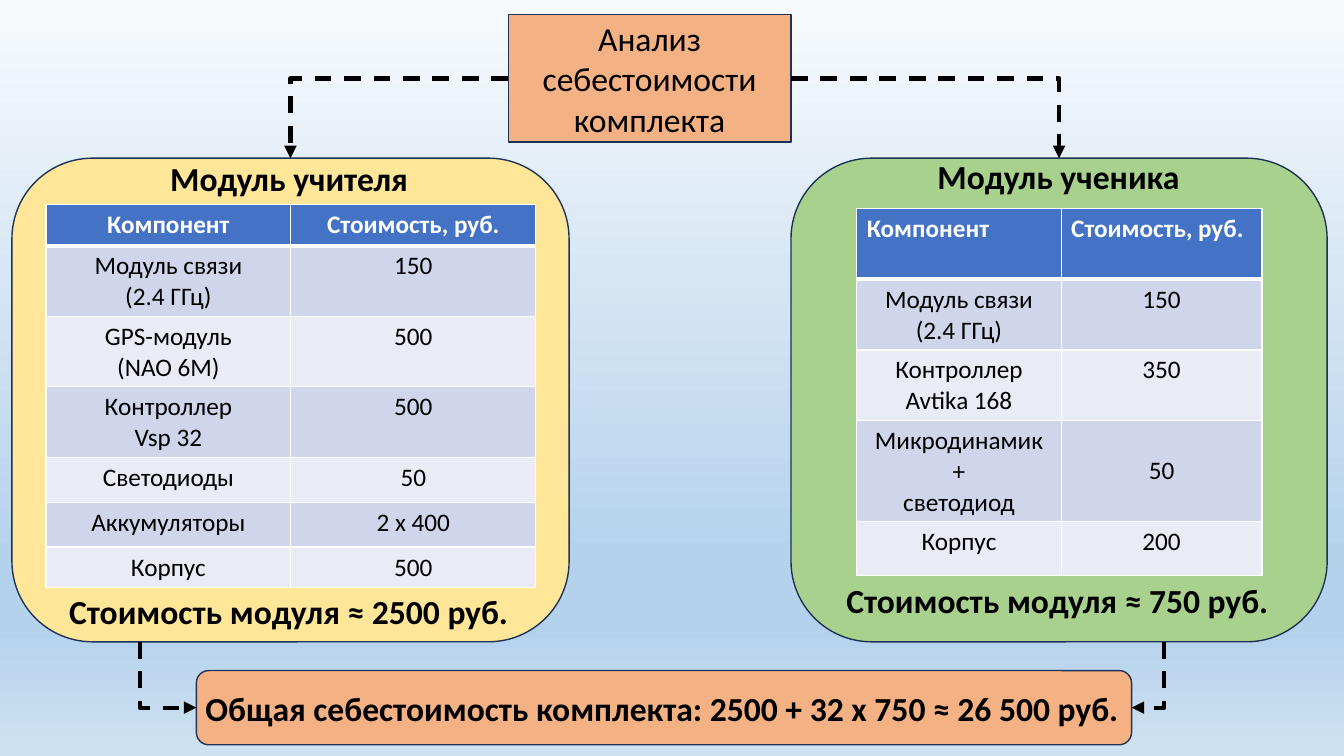
"""Build the slide that breaks down the cost of the teaching kit."""
from dataclasses import dataclass

from lxml.etree import SubElement
from pptx import Presentation
from pptx.dml.color import RGBColor
from pptx.enum.dml import MSO_LINE
from pptx.enum.shapes import MSO_CONNECTOR, MSO_SHAPE
from pptx.enum.text import MSO_ANCHOR, MSO_AUTO_SIZE, PP_ALIGN
from pptx.oxml import parse_xml
from pptx.oxml.ns import nsdecls, qn
from pptx.util import Pt


@dataclass(frozen=True)
class Theme:
    """Colours, font and type sizes of the slide."""
    font: str = "Calibri"
    heading_size: int = 24
    table_size: int = 18
    text: str = "000000"
    white: str = "FFFFFF"
    outline: str = "1E3256"
    orange: str = "F4B183"
    yellow: str = "FFE699"
    green: str = "A9D18E"
    header: str = "4472C4"
    bands: tuple = ("CFD5EA", "E9EBF5")
    background: tuple = ((0, "F7FAFD"), (74, "B5D2EC"), (83, "B5D2EC"), (100, "CEE1F2"))


THEME = Theme()

TEACHER_ROWS = [
    ("Компонент", "Стоимость, руб."),
    ("Модуль связи\n(2.4 ГГц)", "150"),
    ("GPS-модуль\n(NAO 6M)", "500"),
    ("Контроллер\nVsp 32", "500"),
    ("Светодиоды", "50"),
    ("Аккумуляторы", "2 x 400"),
    ("Корпус", "500"),
]
STUDENT_ROWS = [
    ("Компонент", "Стоимость, руб."),
    ("Модуль связи (2.4 ГГц)", "150"),
    ("Контроллер\nAvtika 168", "350"),
    ("Микродинамик +\nсветодиод", "50"),
    ("Корпус", "200"),
]


def paint_background(slide):
    """Fill the background with the vertical blue gradient."""
    fill = slide.background.fill
    fill.gradient()
    fill.gradient_angle = 270
    stops = slide.element.find(".//" + qn("a:gsLst"))
    for stop in list(stops):
        stops.remove(stop)
    for percent, color in THEME.background:
        stop = SubElement(stops, qn("a:gs"), pos=str(percent * 1000))
        SubElement(stop, qn("a:srgbClr"), val=color)


def format_text(text_frame, size, color, bold, alignment):
    """Format every paragraph and run of a text frame."""
    for paragraph in text_frame.paragraphs:
        paragraph.alignment = alignment
        for run in paragraph.runs:
            run.font.name = THEME.font
            run.font.size = Pt(size)
            run.font.bold = bold
            run.font.color.rgb = RGBColor.from_string(color)


def paint_shape(shape, color):
    """Give a shape its fill and thin dark outline."""
    shape.fill.solid()
    shape.fill.fore_color.rgb = RGBColor.from_string(color)
    shape.line.color.rgb = RGBColor.from_string(THEME.outline)
    shape.line.width = Pt(1)


def add_title(slide, text, left, top, width, height):
    """Turn the title placeholder into the rounded heading box."""
    title = slide.shapes.title
    title.left, title.top, title.width, title.height = Pt(left), Pt(top), Pt(width), Pt(height)
    outline = f'<a:prstGeom {nsdecls("a")} prst="roundRect"><a:avLst/></a:prstGeom>'
    title.element.spPr.insert(1, parse_xml(outline))
    paint_shape(title, THEME.orange)
    text_frame = title.text_frame
    text_frame.text = text
    text_frame.word_wrap = True
    text_frame.auto_size = MSO_AUTO_SIZE.NONE
    text_frame.vertical_anchor = MSO_ANCHOR.MIDDLE
    format_text(text_frame, THEME.heading_size, THEME.text, False, PP_ALIGN.CENTER)


def add_panel(slide, color, left, top, width, height):
    """Add a rounded panel."""
    shape = slide.shapes.add_shape(
        MSO_SHAPE.ROUNDED_RECTANGLE, Pt(left), Pt(top), Pt(width), Pt(height))
    shape.shadow.inherit = False
    paint_shape(shape, color)


def add_caption(slide, text, left, top, width, wrap=False):
    """Add a bold one-line caption."""
    shape = slide.shapes.add_textbox(Pt(left), Pt(top), Pt(width), Pt(36))
    text_frame = shape.text_frame
    text_frame.text = text
    text_frame.word_wrap = wrap
    text_frame.auto_size = MSO_AUTO_SIZE.SHAPE_TO_FIT_TEXT
    format_text(text_frame, THEME.heading_size, THEME.text, True, PP_ALIGN.LEFT)


def add_borders(cell, bottom_width):
    """Draw white borders around a table cell."""
    properties = cell._tc.get_or_add_tcPr()
    for side, width in (("L", 1), ("R", 1), ("T", 1), ("B", bottom_width)):
        line = SubElement(properties, qn("a:ln" + side), w=str(Pt(width)))
        fill = SubElement(line, qn("a:solidFill"))
        SubElement(fill, qn("a:srgbClr"), val=THEME.white)


def add_cost_table(slide, rows, left, top, column_widths, row_heights, header_alignment):
    """Add a banded table of component costs."""
    table = slide.shapes.add_table(
        len(rows), 2, Pt(left), Pt(top), Pt(sum(column_widths)), Pt(sum(row_heights))).table
    for column, width in zip(table.columns, column_widths):
        column.width = Pt(width)
    for index, (texts, height) in enumerate(zip(rows, row_heights)):
        table.rows[index].height = Pt(height)
        is_header = index == 0
        background = THEME.header if is_header else THEME.bands[(index - 1) % 2]
        color = THEME.white if is_header else THEME.text
        alignment = header_alignment if is_header else PP_ALIGN.CENTER
        for cell, text in zip(table.rows[index].cells, texts):
            add_borders(cell, 3 if is_header else 1)
            cell.fill.solid()
            cell.fill.fore_color.rgb = RGBColor.from_string(background)
            cell.text_frame.text = text
            format_text(cell.text_frame, THEME.table_size, color, is_header, alignment)
    return table


def add_bent_arrow(slide, start, end, vertical_first=False):
    """Add a dashed arrow with one right-angled bend."""
    (start_x, start_y), (end_x, end_y) = start, end
    if vertical_first:
        middle_x, middle_y = (start_x + end_x) / 2, (start_y + end_y) / 2
        half_x, half_y = (end_x - start_x) / 2, (end_y - start_y) / 2
        start_x, end_x = middle_x - half_y, middle_x + half_y
        start_y, end_y = middle_y + half_x, middle_y - half_x
    connector = slide.shapes.add_connector(
        MSO_CONNECTOR.ELBOW, Pt(start_x), Pt(start_y), Pt(end_x), Pt(end_y))
    properties = connector._element.spPr
    properties.find(qn("a:prstGeom")).set("prst", "bentConnector2")
    if vertical_first:
        properties.find(qn("a:xfrm")).set("rot", "5400000")
    connector.line.color.rgb = RGBColor.from_string(THEME.text)
    connector.line.width = Pt(3)
    connector.line.dash_style = MSO_LINE.DASH
    SubElement(properties.find(qn("a:ln")), qn("a:tailEnd"), type="triangle")
    SubElement(properties, qn("a:effectLst"))


def main():
    """Build and save the presentation."""
    presentation = Presentation()
    presentation.slide_width, presentation.slide_height = Pt(960), Pt(540)
    slide = presentation.slides.add_slide(presentation.slide_layouts[5])
    paint_background(slide)

    add_title(slide, "Анализ себестоимости комплекта", 363, 10.5, 202, 91)
    add_panel(slide, THEME.yellow, 8.5, 113, 398, 345.5)
    add_panel(slide, THEME.green, 565, 113, 383, 345.5)
    add_caption(slide, "Модуль учителя", 114.5, 109.5, 186)
    add_caption(slide, "Модуль ученика", 662.5, 108, 188.5)
    add_caption(slide, "Стоимость модуля ≈ 2500 руб.", 42.3, 418.5, 330.5)
    student_table = add_cost_table(
        slide, STUDENT_ROWS, 612, 149, (146, 143.5), (50.5, 50.5, 50.5, 72, 38.5),
        PP_ALIGN.LEFT)
    student_table.cell(3, 1).vertical_anchor = MSO_ANCHOR.MIDDLE
    add_caption(slide, "Стоимость модуля ≈ 750 руб.", 597.5, 411, 318)
    add_panel(slide, THEME.orange, 140.3, 479, 668, 53)
    add_caption(slide, "Общая себестоимость комплекта: 2500 + 32 x 750 ≈ 26 500 руб.",
                139.7, 487.5, 668, wrap=True)

    add_bent_arrow(slide, (363, 56), (207.5, 113))
    add_bent_arrow(slide, (565, 56), (756.5, 113))
    add_bent_arrow(slide, (100, 458.5), (140.3, 505.5), vertical_first=True)
    add_bent_arrow(slide, (831.5, 458.5), (808.3, 505.5), vertical_first=True)
    add_cost_table(slide, TEACHER_ROWS, 32.8, 146.3, (175, 175),
                   (29.2, 50.3, 50.3, 50.3, 32, 32, 29.2), PP_ALIGN.CENTER)

    presentation.save("out.pptx")


if __name__ == "__main__":
    main()
